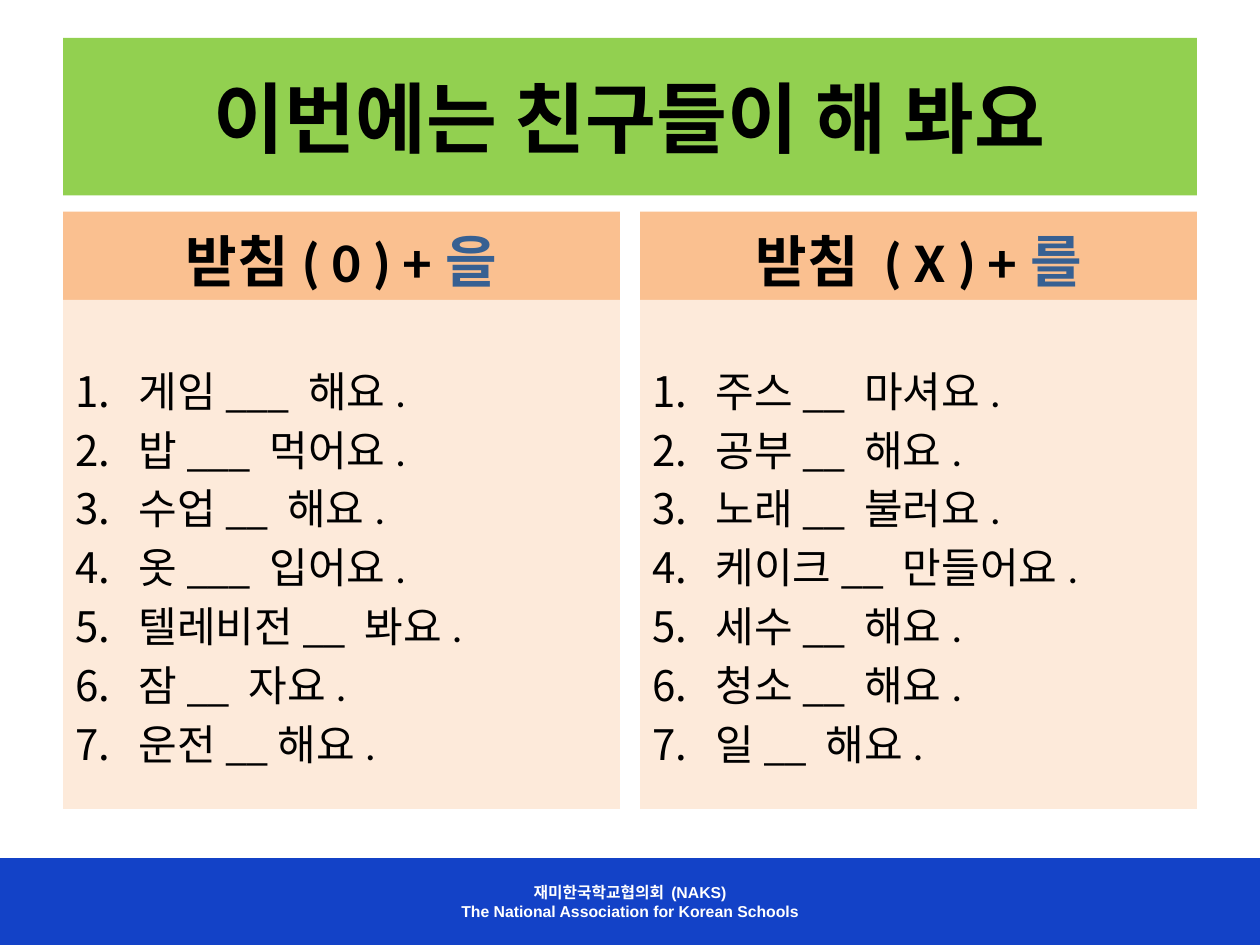
from pptx import Presentation
from pptx.dml.color import RGBColor
from pptx.enum.shapes import MSO_SHAPE
from pptx.enum.text import MSO_ANCHOR, MSO_AUTO_SIZE, PP_ALIGN
from pptx.oxml.ns import qn
from pptx.util import Inches, Pt

BLACK = RGBColor(0x00, 0x00, 0x00)
WHITE = RGBColor(0xFF, 0xFF, 0xFF)
GREEN = RGBColor(0x92, 0xD0, 0x50)
ORANGE = RGBColor(0xFA, 0xC0, 0x90)
PEACH = RGBColor(0xFD, 0xEA, 0xDA)
PARTICLE_BLUE = RGBColor(0x37, 0x60, 0x92)
FOOTER_BLUE = RGBColor(0x13, 0x42, 0xC7)

SLIDE_WIDTH, SLIDE_HEIGHT = 10, 7.5
MARGIN = 0.5
COLUMN_WIDTH = 4.42
HEADING_HEIGHT = 0.7

COLUMNS = [
    ("받침( 0 ) +", "을",
     ["게임___ 해요.", "밥___ 먹어요.", "수업__ 해요.", "옷___ 입어요.",
      "텔레비전__ 봐요.", "잠__ 자요.", "운전__해요."]),
    ("받침 ( X ) +", "를",
     ["주스__ 마셔요.", "공부__ 해요.", "노래__ 불러요.", "케이크__ 만들어요.",
      "세수__ 해요.", "청소__ 해요.", "일__ 해요."]),
]


def add_run(paragraph, text, size, color=BLACK, bold=False, font="Calibri"):
    run = paragraph.add_run()
    run.text = text
    run.font.name = font
    run.font.size = Pt(size)
    run.font.bold = bold
    run.font.color.rgb = color


def add_panel(slide, left, top, width, height, color, anchor):
    shape = slide.shapes.add_shape(
        MSO_SHAPE.RECTANGLE, Inches(left), Inches(top), Inches(width), Inches(height))
    shape.shadow.inherit = False
    shape.fill.solid()
    shape.fill.fore_color.rgb = color
    shape.line.fill.background()
    shape.text_frame.word_wrap = True
    shape.text_frame.vertical_anchor = anchor
    return shape


def number_paragraph(paragraph):
    """Give the paragraph automatic numbers with a hanging indent."""
    properties = paragraph._p.get_or_add_pPr()
    properties.set("marL", str(Inches(0.5)))
    properties.set("indent", str(Inches(-0.5)))
    font = properties.makeelement(qn("a:buFont"), {"typeface": "+mj-lt"})
    number = properties.makeelement(qn("a:buAutoNum"), {"type": "arabicPeriod"})
    properties.extend([font, number])


def fill_title(slide, left, top, width, height):
    title = slide.shapes.title
    title.left, title.top = Inches(left), Inches(top)
    title.width, title.height = Inches(width), Inches(height)
    title.fill.solid()
    title.fill.fore_color.rgb = GREEN
    frame = title.text_frame
    frame.auto_size = MSO_AUTO_SIZE.NONE
    frame.vertical_anchor = MSO_ANCHOR.MIDDLE
    paragraph = frame.paragraphs[0]
    paragraph.alignment = PP_ALIGN.CENTER
    add_run(paragraph, "이번에는 친구들이 해 봐요", 44, bold=True)


def add_column(slide, left, top, width, height, heading, particle, sentences):
    """Add a heading bar with a numbered practice list below it."""
    bar = add_panel(slide, left, top, width, HEADING_HEIGHT, ORANGE, MSO_ANCHOR.BOTTOM)
    paragraph = bar.text_frame.paragraphs[0]
    paragraph.alignment = PP_ALIGN.CENTER
    add_run(paragraph, heading, 32, bold=True)
    add_run(paragraph, particle, 32, PARTICLE_BLUE, bold=True)

    panel = add_panel(slide, left, top + HEADING_HEIGHT, width,
                      height - HEADING_HEIGHT, PEACH, MSO_ANCHOR.TOP)
    frame = panel.text_frame
    frame.margin_top = Inches(0.52)
    for index, sentence in enumerate(sentences):
        paragraph = frame.add_paragraph() if index else frame.paragraphs[0]
        paragraph.alignment = PP_ALIGN.LEFT
        if index:
            paragraph.space_before = Pt(4.8)
        number_paragraph(paragraph)
        add_run(paragraph, sentence, 24)


def add_footer(slide, left, top, width, height):
    footer = add_panel(slide, left, top, width, height, FOOTER_BLUE, MSO_ANCHOR.MIDDLE)
    frame = footer.text_frame
    frame.margin_left = frame.margin_right = Inches(0.07)
    frame.margin_top = frame.margin_bottom = Inches(0.04)
    lines = ["재미한국학교협의회 (NAKS)", "The National Association for Korean Schools"]
    for index, line in enumerate(lines):
        paragraph = frame.add_paragraph() if index else frame.paragraphs[0]
        paragraph.alignment = PP_ALIGN.CENTER
        add_run(paragraph, line, 9, WHITE, bold=True, font="Arial")


def main():
    presentation = Presentation()
    presentation.slide_width = Inches(SLIDE_WIDTH)
    presentation.slide_height = Inches(SLIDE_HEIGHT)
    slide = presentation.slides.add_slide(presentation.slide_layouts[5])

    fill_title(slide, MARGIN, 0.3, SLIDE_WIDTH - 2 * MARGIN, 1.25)
    column_lefts = [MARGIN, SLIDE_WIDTH - MARGIN - COLUMN_WIDTH]
    for left, (heading, particle, sentences) in zip(column_lefts, COLUMNS):
        add_column(slide, left, 1.68, COLUMN_WIDTH, 4.74, heading, particle, sentences)
    add_footer(slide, 0, 6.81, SLIDE_WIDTH, SLIDE_HEIGHT - 6.81)

    presentation.save("out.pptx")


if __name__ == "__main__":
    main()
